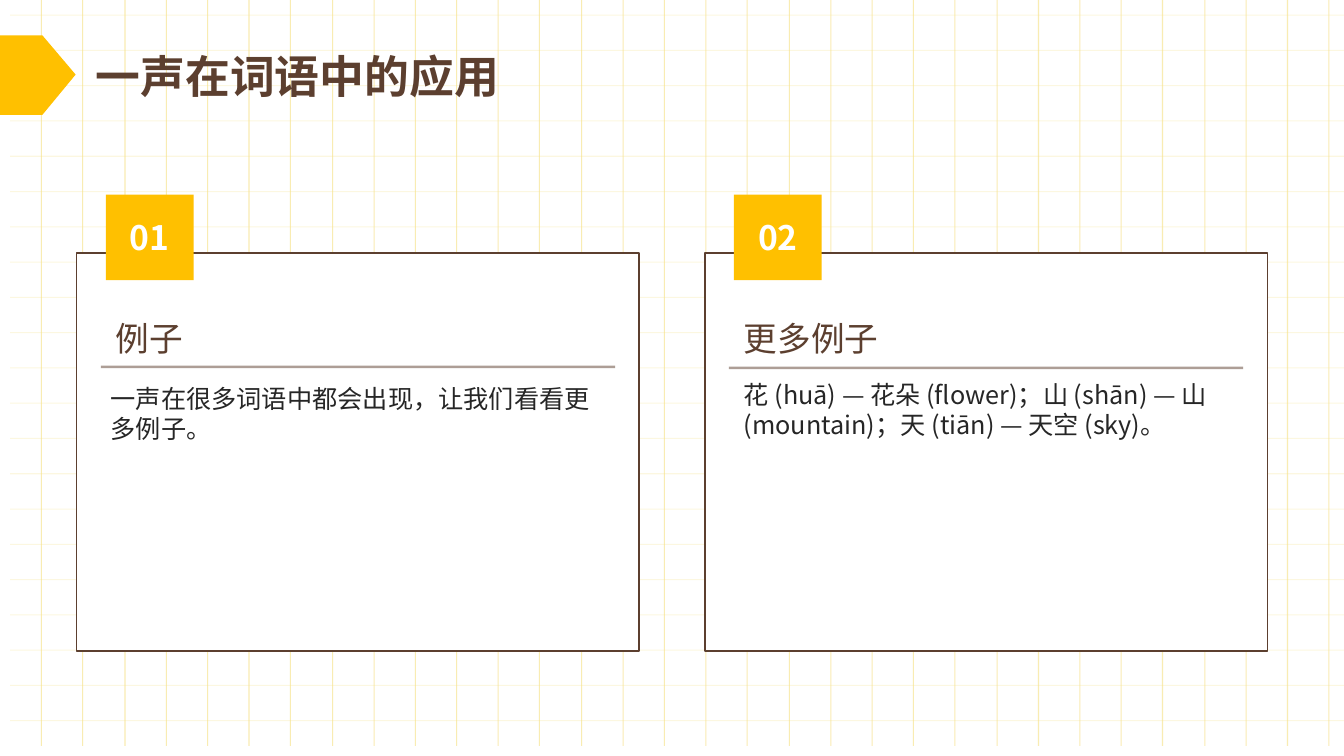
from dataclasses import dataclass

from pptx import Presentation
from pptx import util as u
from pptx.dml.color import RGBColor
from pptx.enum import shapes, text
from pptx.oxml.ns import qn
from lxml import etree

PX = 9144  # 100 px to the inch


@dataclass(frozen=True)
class Theme:
    font: str = "Noto Sans CJK SC"
    paper: str = "FFFFFF"
    grid: str = "F7E288"
    brown: str = "5C3F2F"
    gold: str = "FFC000"
    ink: str = "262626"
    title: int = 32
    head: int = 24
    body: int = 18


class Deck:
    def __init__(self, theme, wide, high):
        self.theme = theme
        self.prs = Presentation()
        self.prs.slide_width = u.Emu(wide * PX)
        self.prs.slide_height = u.Emu(high * PX)
        self.slide = self.prs.slides.add_slide(self.prs.slide_layouts[6])
        self.items = self.slide.shapes

    def line(self, x1, y1, x2, y2, color, width, alpha):
        rule = self.items.add_connector(
            shapes.MSO_CONNECTOR.STRAIGHT, *(v * PX for v in (x1, y1, x2, y2)))
        rule.line.color.rgb = RGBColor.from_string(color)
        rule.line.width = u.Pt(width)
        props = rule._element.spPr
        tint = props.find(".//" + qn("a:srgbClr"))
        etree.SubElement(tint, qn("a:alpha"), val=str(alpha * 1000))
        etree.SubElement(props, qn("a:effectLst"))

    def paint(self, shape, fill, edge=None):
        shape.shadow.inherit = False
        shape.fill.solid()
        shape.fill.fore_color.rgb = RGBColor.from_string(fill)
        if edge:
            shape.line.color.rgb = RGBColor.from_string(edge)
            shape.line.width = u.Pt(1.25)
        else:
            shape.line.fill.background()

    def box(self, x, y, w, h, fill, edge=None):
        shape = self.items.add_shape(
            shapes.MSO_SHAPE.ROUNDED_RECTANGLE, *(v * PX for v in (x, y, w, h)))
        shape.adjustments[0] = 0
        self.paint(shape, fill, edge)
        return shape

    def flag(self, points):
        form = self.items.build_freeform(*points[0], scale=PX)
        form.add_line_segments(points[1:], close=True)
        self.paint(form.convert_to_shape(), self.theme.gold)

    def letter(self, shape, words, size, color, bold=False, align=None, mid=True):
        frame = shape.text_frame
        frame.word_wrap = True
        frame.vertical_anchor = (
            text.MSO_ANCHOR.MIDDLE if mid else text.MSO_ANCHOR.TOP)
        par = frame.paragraphs[0]
        par.text = words
        par.alignment = align
        font = par.font
        font.name = self.theme.font
        font.size = u.Pt(size)
        font.bold = bold
        font.color.rgb = RGBColor.from_string(color)
        props = par._p.pPr.find(qn("a:defRPr"))
        etree.SubElement(props, qn("a:ea"), typeface=self.theme.font)

    def label(self, x, y, w, h, words, size, color, bold=False, mid=True):
        shape = self.items.add_textbox(*(v * PX for v in (x, y, w, h)))
        self.letter(shape, words, size, color, bold, mid=mid)

    def card(self, x, num, head, rule, body, area):
        t = self.theme
        self.box(x, 251, 558, 395, t.paper, t.brown)
        badge = self.box(x + 29, 193, 87, 85, t.gold)
        self.letter(badge, num, t.head, t.paper, True, text.PP_ALIGN.CENTER)
        self.line(x + 24, rule, x + 534, rule, t.brown, 1.75, 50)
        self.label(x + 29, 306, 496, 59, head, t.head, t.brown)
        self.label(*area, body, t.body, t.ink, mid=False)


def main():
    t = Theme()
    deck = Deck(t, 1333, 750)

    # Squared paper
    for y in range(15, 750, 35):
        deck.line(10, y, 1333, y, t.grid, 0.75, 25)
    for i in range(1, 33):
        x = round(i * 41.19)
        deck.line(x, 0, x, 740, t.grid, 0.75, 64)

    # Title with its flag
    deck.label(85, 35, 1181, 79, "一声在词语中的应用", t.title, t.brown, True)
    deck.flag([(42, 35), (0, 35), (0, 114), (42, 114), (75, 74)])

    # Two cards
    deck.card(76, "01", "例子", 364,
              "一声在很多词语中都会出现，让我们看看更多例子。",
              (100, 375, 501, 242))
    deck.card(699, "02", "更多例子", 365,
              "花 (huā) — 花朵 (flower)；山 (shān) — 山 (mountain)；天 (tiān) — 天空 (sky)。",
              (728, 371, 496, 236))

    deck.prs.save("out.pptx")


if __name__ == "__main__":
    main()
